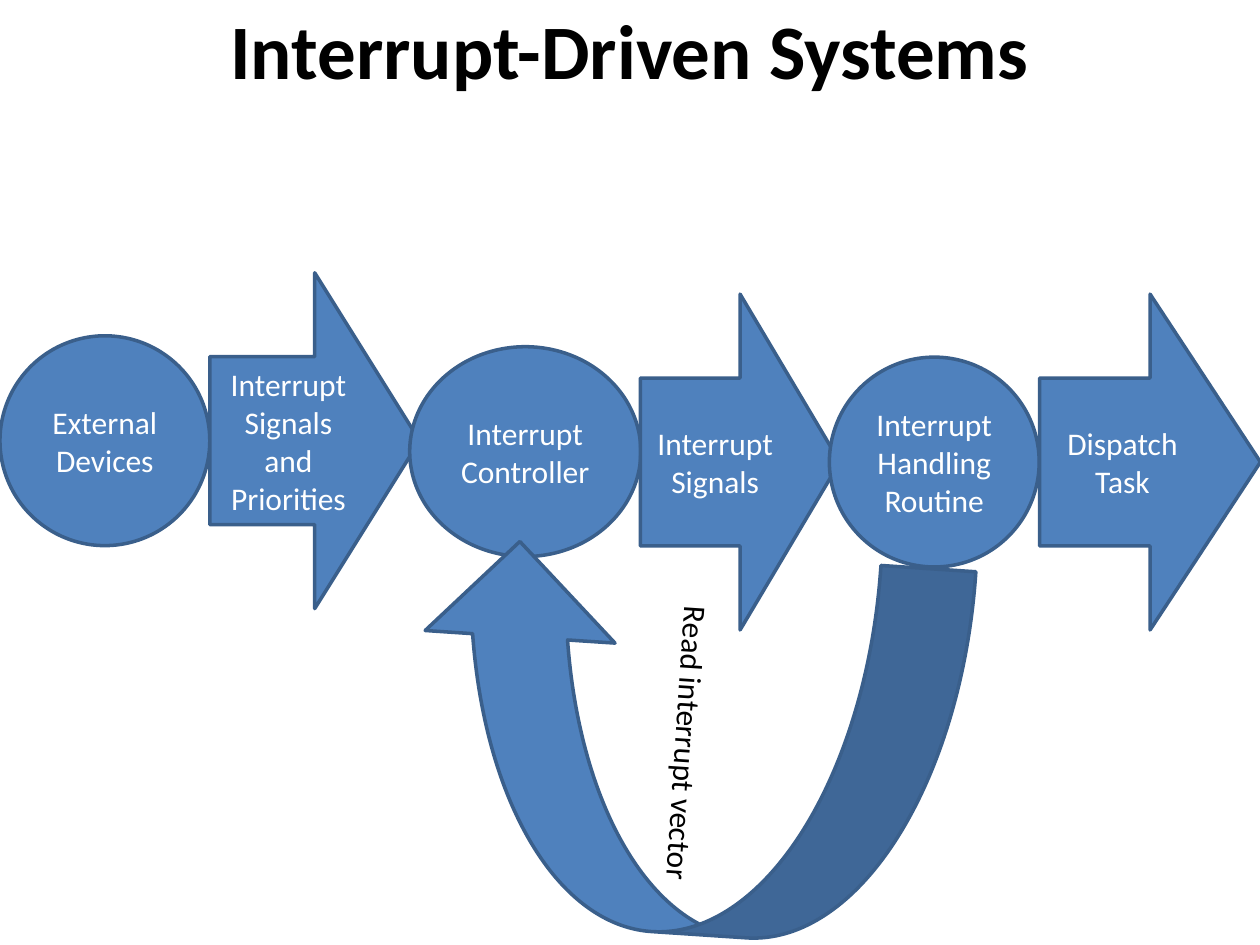
from dataclasses import dataclass

from pptx import Presentation
from pptx.dml.color import RGBColor
from pptx.enum.shapes import MSO_SHAPE
from pptx.enum.text import MSO_ANCHOR, PP_ALIGN
from pptx.util import Cm, Pt

COLORS = {"fill": "4F81BD", "outline": "3A5F8B", "light": "FFFFFF", "dark": "000000"}
SLIDE_WIDTH, SLIDE_HEIGHT = 25.4, 19.05
DIAMETER = 4.23
ARROW_HEIGHT = 6.77


@dataclass
class Step:
    """One flow element; lengths are in centimetres."""
    text: str
    kind: MSO_SHAPE
    left: float
    top: float
    width: float
    height: float
    rotation: float = 0
    ink: str = "light"


STEPS = [
    Step("External Devices", MSO_SHAPE.OVAL, 0, 6.77, DIAMETER, DIAMETER),
    Step("Interrupt Signals and Priorities", MSO_SHAPE.RIGHT_ARROW,
         4.23, 5.5, 4.23, ARROW_HEIGHT),
    Step("Interrupt Controller", MSO_SHAPE.OVAL, 8.26, 6.99, 4.66, DIAMETER),
    Step("Interrupt Signals", MSO_SHAPE.RIGHT_ARROW, 12.91, 5.93, 4.02, ARROW_HEIGHT),
    Step("Interrupt Handling Routine", MSO_SHAPE.OVAL, 16.72, 7.2, DIAMETER, DIAMETER),
    Step("Dispatch Task", MSO_SHAPE.RIGHT_ARROW, 20.96, 5.93, 4.45, ARROW_HEIGHT),
    Step("Read interrupt vector", MSO_SHAPE.CURVED_LEFT_ARROW,
         10.03, 9.42, 7.67, 11.13, rotation=93.8, ink="dark"),
]


def color(name: str) -> RGBColor:
    return RGBColor.from_string(COLORS[name])


def write(frame, text: str, ink: str, font_format: dict) -> None:
    frame.word_wrap = True
    frame.vertical_anchor = MSO_ANCHOR.MIDDLE
    paragraph = frame.paragraphs[0]
    paragraph.alignment = PP_ALIGN.CENTER
    run = paragraph.add_run()
    run.text = text
    for attribute, value in {"name": "Calibri", **font_format}.items():
        setattr(run.font, attribute, value)
    run.font.color.rgb = color(ink)


def draw_step(slide, step: Step) -> None:
    shape = slide.shapes.add_shape(
        step.kind, Cm(step.left), Cm(step.top), Cm(step.width), Cm(step.height))
    shape.rotation = step.rotation
    shape.shadow.inherit = False
    shape.fill.solid()
    shape.fill.fore_color.rgb = color("fill")
    shape.line.color.rgb = color("outline")
    shape.line.width = Pt(2)
    write(shape.text_frame, step.text, step.ink, {"size": Pt(18)})


def main() -> None:
    deck = Presentation()
    deck.slide_width, deck.slide_height = Cm(SLIDE_WIDTH), Cm(SLIDE_HEIGHT)
    slide = deck.slides.add_slide(deck.slide_layouts[6])
    title = slide.shapes.add_textbox(Cm(0), Cm(-1.07), Cm(SLIDE_WIDTH), Cm(4.09))
    write(title.text_frame, "Interrupt-Driven Systems", "dark",
          {"size": Pt(44), "bold": True})
    for step in STEPS:
        draw_step(slide, step)
    deck.save("out.pptx")


if __name__ == "__main__":
    main()
